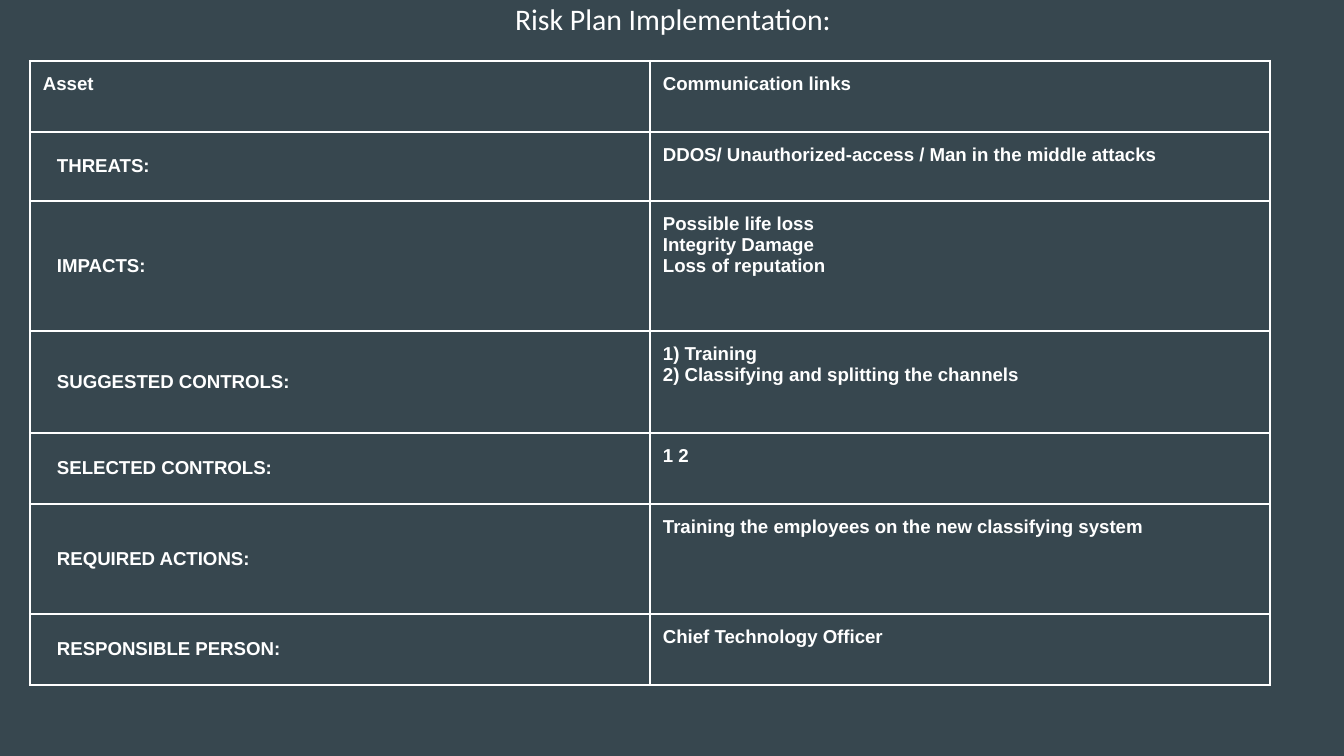
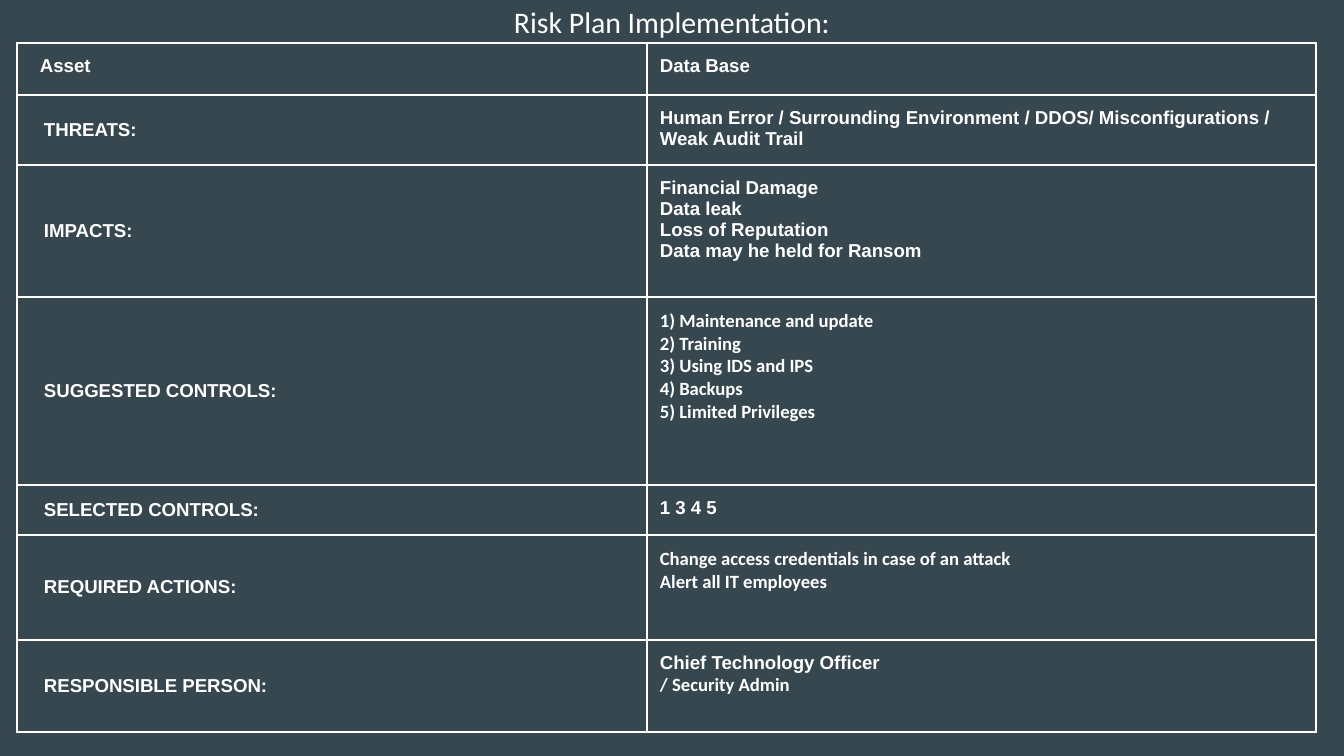
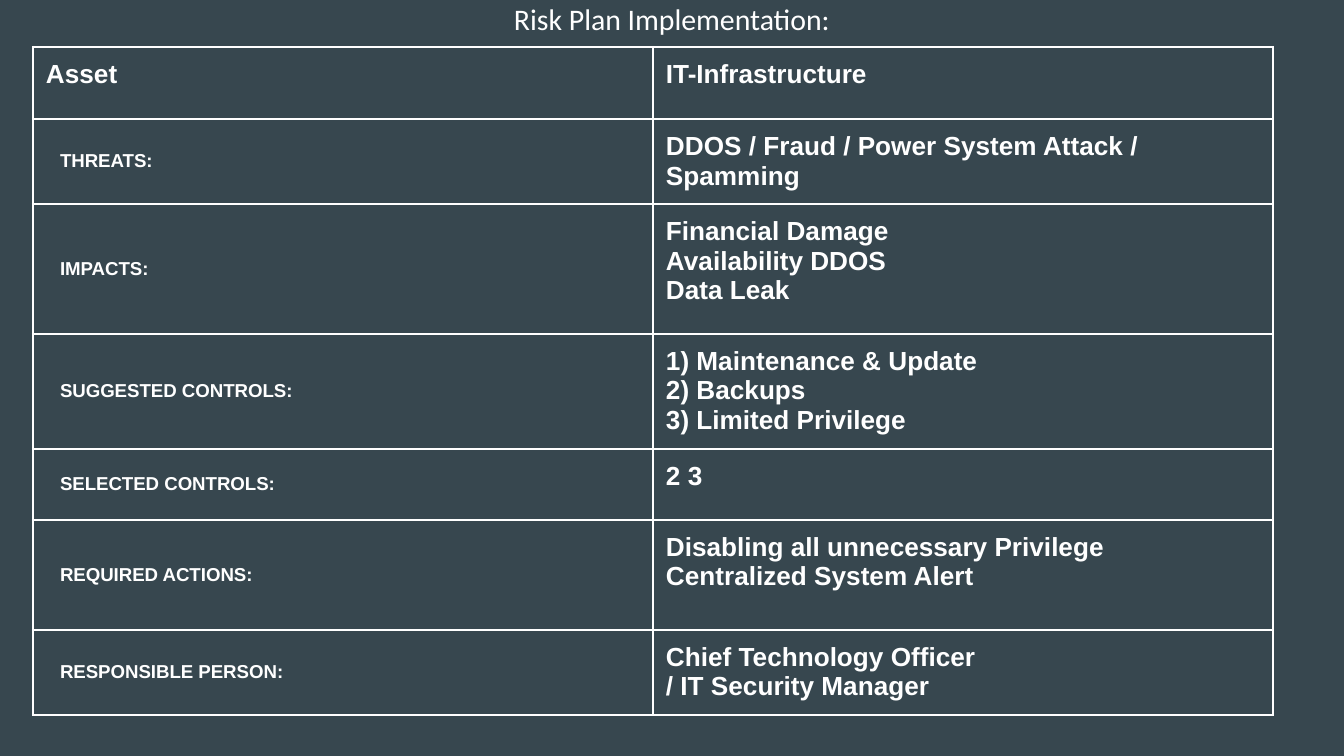
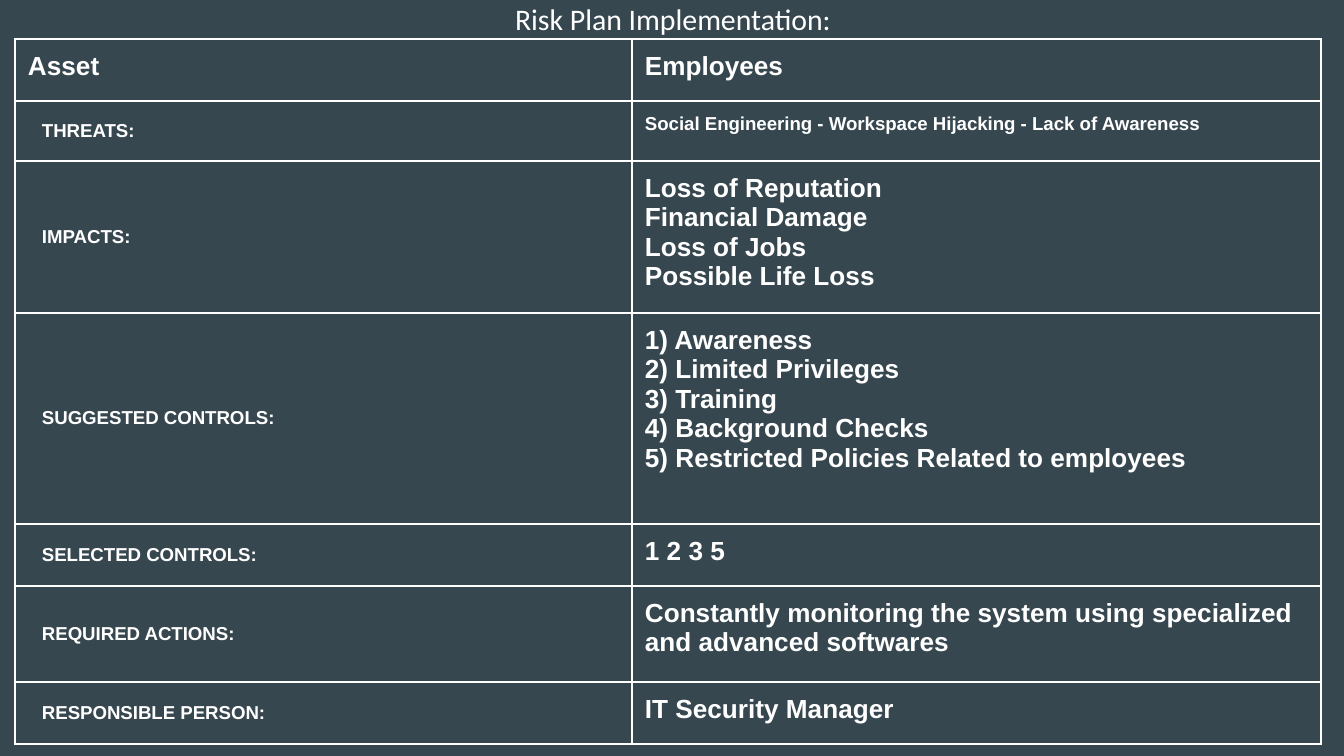
from lxml import etree
from pptx import Presentation
from pptx import util as u
from pptx.dml.color import RGBColor
from pptx.enum import text
from pptx.oxml import ns

SLATE = RGBColor(0x37, 0x47, 0x4F)
WHITE = RGBColor(0xFF, 0xFF, 0xFF)
BODY_FONT = "Arial"
ALT_FONT = "Calibri"
TITLE = "Risk Plan Implementation:"
LABEL_SIZE = 10
PAD = 13
LABEL_PADS = (27, 7, PAD, 7)
LABELS = ["Asset", "THREATS:", "IMPACTS:", "SUGGESTED CONTROLS:",
          "SELECTED CONTROLS:", "REQUIRED ACTIONS:", "RESPONSIBLE PERSON:"]

PLANS = [
    dict(
        title_at=(347, -12), table_at=(30, 61), cols=(620, 620),
        rows=(71, 69, 130, 102, 71, 110, 71), size=10,
        values=[
            ["Communication links"],
            ["DDOS/ Unauthorized-access / Man in the middle attacks"],
            ["Possible life loss", "Integrity Damage", "Loss of reputation"],
            ["1) Training", "2) Classifying and splitting the channels"],
            ["1 2"],
            ["Training the employees on the new classifying system"],
            ["Chief Technology Officer"],
        ],
    ),
    dict(
        title_at=(346, -9), table_at=(17, 43), cols=(630, 669),
        rows=(52, 70, 132, 188, 50, 105, 92), size=10, asset_pad=23,
        alt_lines={(3, 0), (3, 1), (3, 2), (3, 3), (3, 4),
                   (5, 0), (5, 1), (6, 1)},
        justified_rows={6},
        values=[
            ["Data Base"],
            ["Human Error / Surrounding Environment / DDOS/ "
             "Misconfigurations / Weak Audit Trail"],
            ["Financial Damage", "Data leak", "Loss of Reputation",
             "Data may he held for Ransom"],
            ["1) Maintenance and update", "2) Training",
             "3) Using IDS and IPS", "4) Backups", "5) Limited Privileges"],
            ["1 3 4 5"],
            ["Change access credentials in case of an attack",
             "Alert all IT employees"],
            ["Chief Technology Officer", "/ Security Admin"],
        ],
    ),
    dict(
        title_at=(346, -12), table_at=(33, 47), cols=(620, 620),
        rows=(72, 85, 130, 115, 71, 110, 85), size=14,
        values=[
            ["IT-Infrastructure"],
            ["DDOS / Fraud / Power System Attack / Spamming"],
            ["Financial Damage", "Availability DDOS", "Data Leak"],
            ["1) Maintenance & Update", "2) Backups", "3) Limited Privilege"],
            ["2 3"],
            ["Disabling all unnecessary Privilege",
             "Centralized System Alert"],
            ["Chief Technology Officer", "/ IT Security Manager"],
        ],
    ),
    dict(
        title_at=(347, -12), table_at=(15, 39), cols=(617, 689),
        rows=(62, 60, 152, 211, 62, 96, 62), size=14, small_rows={1},
        values=[
            ["Employees"],
            ["Social Engineering - Workspace Hijacking - Lack of Awareness"],
            ["Loss of Reputation", "Financial Damage", "Loss of Jobs",
             "Possible Life Loss"],
            ["1) Awareness", "2) Limited Privileges", "3) Training",
             "4) Background Checks",
             "5) Restricted Policies Related to employees"],
            ["1 2 3 5"],
            ["Constantly monitoring the system using specialized "
             "and advanced softwares"],
            ["IT Security Manager"],
        ],
    ),
]


def px(n):
    return u.Emu(round(n * 914400 / 134.4))


def set_margins(box, left, top, right, bottom):
    box.margin_left, box.margin_top = px(left), px(top)
    box.margin_right, box.margin_bottom = px(right), px(bottom)


def add_run(p, words, size, font, bold=False):
    r = p.add_run()
    r.text = words
    r.font.size = u.Pt(size)
    r.font.name = font
    r.font.bold = bold
    r.font.color.rgb = WHITE


def add_title(s, left, top):
    sp = s.shapes.title
    sp.left, sp.top, sp.width, sp.height = px(left), px(top), px(652), px(73)
    tf = sp.text_frame
    tf.word_wrap = True
    tf.auto_size = text.MSO_AUTO_SIZE.NONE
    tf.vertical_anchor = text.MSO_ANCHOR.TOP
    set_margins(tf, PAD, PAD, PAD, PAD)
    p = tf.paragraphs[0]
    p.alignment = text.PP_ALIGN.CENTER
    add_run(p, TITLE, 16, ALT_FONT)


def style_cell(cell, pads, anchor):
    tcPr = cell._tc.get_or_add_tcPr()
    for side in ("a:lnL", "a:lnR", "a:lnT", "a:lnB"):
        ln = etree.SubElement(tcPr, ns.qn(side), w=str(u.Pt(1.5)))
        fill = etree.SubElement(ln, ns.qn("a:solidFill"))
        etree.SubElement(fill, ns.qn("a:srgbClr"), val=str(WHITE))
    cell.fill.background()
    cell.vertical_anchor = anchor
    set_margins(cell, *pads)


def fill_cell(cell, lines, size, fonts, align=None):
    tf = cell.text_frame
    for i, (line, font) in enumerate(zip(lines, fonts)):
        p = tf.add_paragraph() if i else tf.paragraphs[0]
        p.alignment = align
        add_run(p, line, size, font, bold=True)


def add_plan_table(s, left, top, plan):
    cols, rows, size = plan["cols"], plan["rows"], plan["size"]
    tbl = s.shapes.add_table(len(rows), len(cols), px(left), px(top),
                             px(sum(cols)), px(sum(rows))).table
    tbl.first_row = tbl.horz_banding = False
    for col, width in zip(tbl.columns, cols):
        col.width = px(width)
    for i, (label, lines) in enumerate(zip(LABELS, plan["values"])):
        tbl.rows[i].height = px(rows[i])
        label_cell, value_cell = tbl.cell(i, 0), tbl.cell(i, 1)
        if i == 0:
            asset_pads = (plan.get("asset_pad", PAD), PAD, PAD, PAD)
            style_cell(label_cell, asset_pads, text.MSO_ANCHOR.TOP)
        else:
            style_cell(label_cell, LABEL_PADS, text.MSO_ANCHOR.MIDDLE)
        fill_cell(label_cell, [label], LABEL_SIZE if i else size, [BODY_FONT])

        style_cell(value_cell, (PAD,) * 4, text.MSO_ANCHOR.TOP)
        alt = plan.get("alt_lines", ())
        fonts = [ALT_FONT if (i, j) in alt else BODY_FONT
                 for j in range(len(lines))]
        small = i in plan.get("small_rows", ())
        justified = i in plan.get("justified_rows", ())
        fill_cell(value_cell, lines, LABEL_SIZE if small else size, fonts,
                  text.PP_ALIGN.JUSTIFY if justified else None)


def add_plan_slide(prs, plan):
    s = prs.slides.add_slide(prs.slide_layouts[5])
    add_title(s, *plan["title_at"])
    add_plan_table(s, *plan["table_at"], plan)


def main():
    prs = Presentation()
    prs.slide_width, prs.slide_height = px(1344), px(756)
    fill = prs.slide_master.background.fill
    fill.solid()
    fill.fore_color.rgb = SLATE
    for plan in PLANS:
        add_plan_slide(prs, plan)
    prs.save("out.pptx")


if __name__ == "__main__":
    main()
